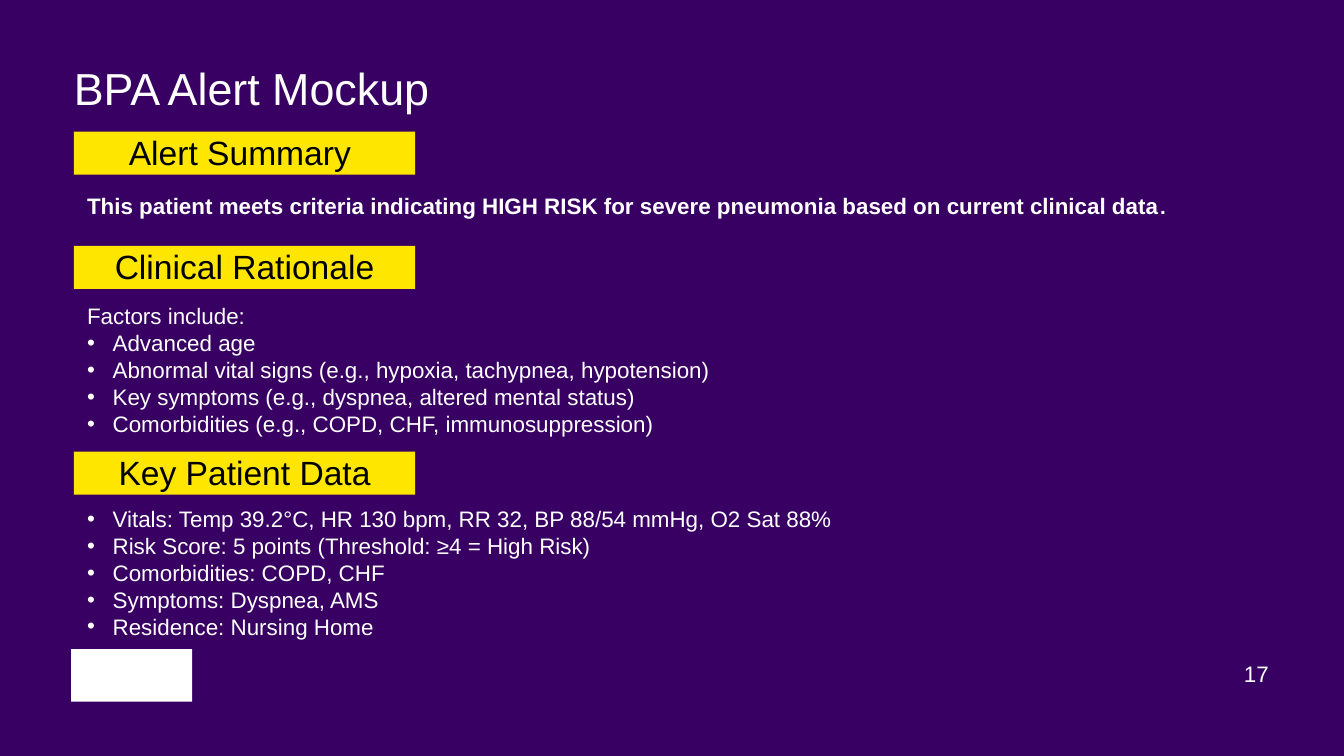
from dataclasses import dataclass

from lxml.etree import SubElement
from pptx import Presentation
from pptx.dml.color import RGBColor
from pptx.enum.shapes import MSO_SHAPE
from pptx.enum.text import MSO_ANCHOR, PP_ALIGN
from pptx.oxml.ns import qn
from pptx.util import Inches, Pt


@dataclass(frozen=True)
class Theme:
    font: str = "Arial"
    background: RGBColor = RGBColor(0x38, 0x00, 0x63)
    text: RGBColor = RGBColor(0xFF, 0xFF, 0xFF)
    band: RGBColor = RGBColor(0xFF, 0xE6, 0x00)
    band_text: RGBColor = RGBColor(0x00, 0x00, 0x00)
    title_size: float = 24
    heading_size: float = 18
    body_size: float = 12
    period_size: float = 11


THEME = Theme()
TITLE = "BPA Alert Mockup"
PAGE_NUMBER = "17"
SUMMARY = "This patient meets criteria indicating HIGH RISK for severe pneumonia based on current clinical data"
# Heading, its top in inches
HEADINGS = [("Alert Summary ", 0.98), ("Clinical Rationale", 1.83), ("Key Patient Data", 3.36)]
# Top in inches, introduction, bullets
LISTS = [
    (2.15, "Factors include:", [
        "Advanced age",
        "Abnormal vital signs (e.g., hypoxia, tachypnea, hypotension)",
        "Key symptoms (e.g., dyspnea, altered mental status)",
        "Comorbidities (e.g., COPD, CHF, immunosuppression)",
    ]),
    (3.66, None, [
        "Vitals: Temp 39.2°C, HR 130 bpm, RR 32, BP 88/54 mmHg, O2 Sat 88%",
        "Risk Score: 5 points (Threshold: ≥4 = High Risk)",
        "Comorbidities: COPD, CHF",
        "Symptoms: Dyspnea, AMS",
        "Residence: Nursing Home",
    ]),
]
LEFT, BODY_WIDTH, BODY_HEIGHT = 0.55, 8.74, 1.21
BAND_WIDTH, BAND_HEIGHT = 2.54, 0.32
BODY_INSET, BULLET_INDENT = 0.1, 0.19


def set_insets(frame, inset):
    frame.margin_left = frame.margin_right = Inches(inset)
    frame.margin_top = frame.margin_bottom = Inches(inset)


def add_text_frame(page, left, top, width, height, inset=0):
    box = page.shapes.add_textbox(Inches(left), Inches(top), Inches(width), Inches(height))
    frame = box.text_frame
    frame.word_wrap = True
    set_insets(frame, inset)
    return frame


def add_span(paragraph, text, size, color=THEME.text, bold=False):
    span = paragraph.add_run()
    span.text = text
    span.font.name = THEME.font
    span.font.size = Pt(size)
    span.font.color.rgb = color
    span.font.bold = bold


def add_block(page, left, top, width, height, color):
    block = page.shapes.add_shape(
        MSO_SHAPE.RECTANGLE, Inches(left), Inches(top), Inches(width), Inches(height))
    block.shadow.inherit = False
    block.fill.solid()
    block.fill.fore_color.rgb = color
    block.line.fill.background()
    return block


def add_heading(page, text, top):
    frame = add_block(page, LEFT, top, BAND_WIDTH, BAND_HEIGHT, THEME.band).text_frame
    set_insets(frame, 0)
    frame.vertical_anchor = MSO_ANCHOR.TOP
    paragraph = frame.paragraphs[0]
    paragraph.alignment = PP_ALIGN.CENTER
    add_span(paragraph, text, THEME.heading_size, THEME.band_text)


def make_bullet(paragraph):
    properties = paragraph._p.get_or_add_pPr()
    properties.set("marL", str(Inches(BULLET_INDENT)))
    properties.set("indent", str(-Inches(BULLET_INDENT)))
    SubElement(properties, qn("a:buFont"), typeface=THEME.font)
    SubElement(properties, qn("a:buChar"), char="•")


def add_list(page, top, introduction, bullets):
    frame = add_text_frame(page, LEFT, top, BODY_WIDTH, BODY_HEIGHT, BODY_INSET)
    lines = ([(introduction, False)] if introduction else []) + [(text, True) for text in bullets]
    for index, (text, bulleted) in enumerate(lines):
        paragraph = frame.add_paragraph() if index else frame.paragraphs[0]
        if bulleted:
            make_bullet(paragraph)
        add_span(paragraph, text, THEME.body_size)


def main():
    deck = Presentation()
    deck.slide_width = Inches(10)
    deck.slide_height = deck.slide_width * 9 // 16
    page = deck.slides.add_slide(deck.slide_layouts[6])
    page.background.fill.solid()
    page.background.fill.fore_color.rgb = THEME.background

    add_block(page, 0.53, 4.83, 0.9, 0.39, THEME.text)

    number = add_text_frame(page, 9.13, 4.94, 0.31, 0.15)
    number.vertical_anchor = MSO_ANCHOR.MIDDLE
    number.paragraphs[0].alignment = PP_ALIGN.RIGHT
    add_span(number.paragraphs[0], PAGE_NUMBER, THEME.body_size)

    title = add_text_frame(page, LEFT, 0.45, 7.96, 0.85)
    add_span(title.paragraphs[0], TITLE, THEME.title_size)

    summary = add_text_frame(page, LEFT, 1.3, BODY_WIDTH, 0.43, BODY_INSET).paragraphs[0]
    summary.line_spacing = 1.15
    add_span(summary, SUMMARY, THEME.body_size, bold=True)
    add_span(summary, ".", THEME.period_size, bold=True)

    for text, top in HEADINGS:
        add_heading(page, text, top)
    for top, introduction, bullets in LISTS:
        add_list(page, top, introduction, bullets)

    deck.save("out.pptx")


if __name__ == "__main__":
    main()
